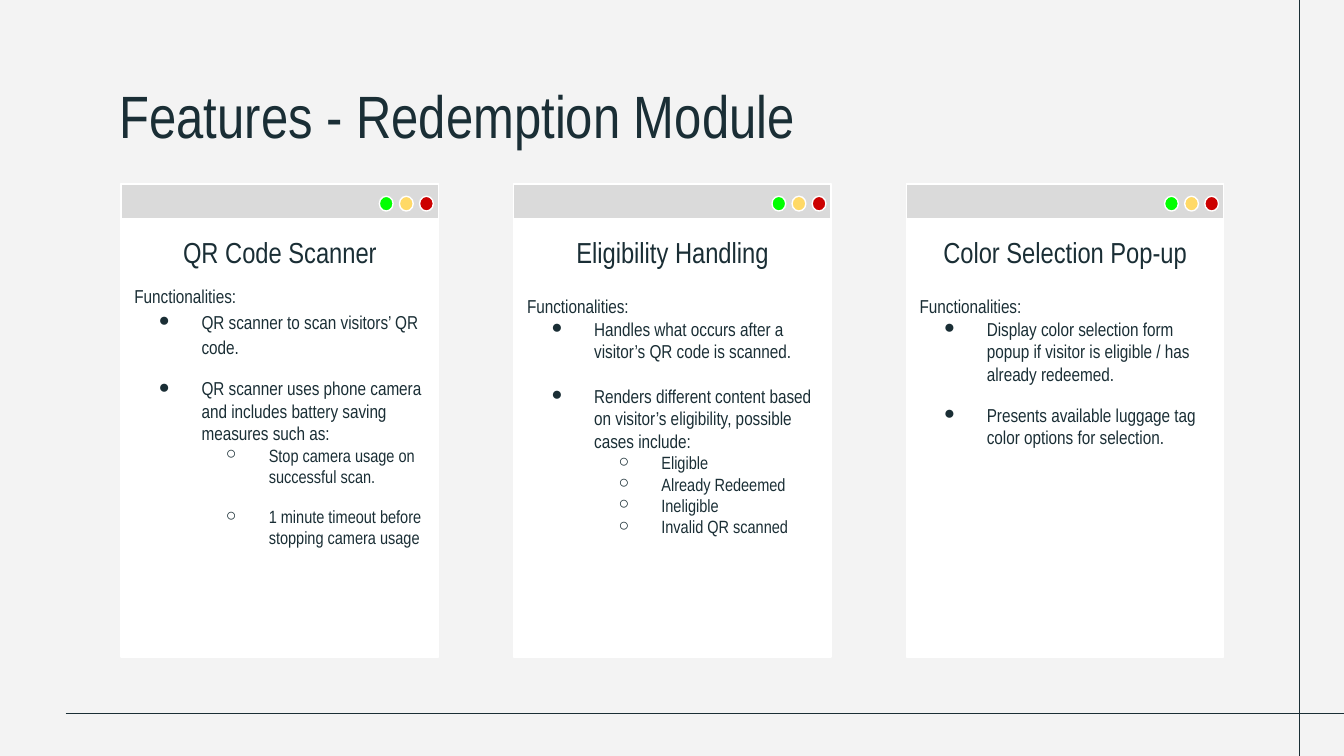
from dataclasses import dataclass

from lxml.etree import SubElement
from pptx import Presentation
from pptx.dml.color import RGBColor
from pptx.enum.shapes import MSO_CONNECTOR as Connector, MSO_SHAPE as Shape
from pptx.enum.text import MSO_ANCHOR as Anchor, MSO_AUTO_SIZE as AutoSize, PP_ALIGN as Align
from pptx.oxml.ns import qn
from pptx.util import Cm, Pt


@dataclass(frozen=True)
class Theme:
    font: str = "Arial Narrow"
    ink: str = "1A2E35"
    paper: str = "F3F3F3"
    card: str = "FFFFFF"
    bar: str = "DADADA"
    lights: tuple = ("00FF00", "FFD966", "CC0000")
    title: float = 32
    heading: float = 15.5
    body: float = 10
    detail: float = 9.5
    rule: float = 0.75


THEME = Theme()

# Card grid, in centimetres
CARD_LEFT, CARD_TOP, CARD_STEP = 2.29, 3.48, 7.42
CARD_WIDTH, CARD_HEIGHT, BAR_HEIGHT = 6, 8.94, 0.66
LIGHT_LEFT, LIGHT_DROP, LIGHT_STEP = 4.88, 0.23, 0.38

# Left margin in cm, bullet and type size of each list level
LEVELS = (
    (0, None, THEME.body),
    (1.27, "●", THEME.body),
    (2.54, "○", THEME.detail),
)
HANGING = 0.81

# Each item: level, text, space before in points, line spacing
CARDS = (
    ("QR Code Scanner", 5.13, (
        (0, "Functionalities:", 0, 1),
        (1, "QR scanner to scan visitors’ QR code.", 0, 1.15),
        (1, "QR scanner uses phone camera and includes battery saving measures such as:", 10, 1),
        (2, "Stop camera usage on successful scan.", 0, 1),
        (2, "1 minute timeout before stopping camera usage", 10, 1),
    )),
    ("Eligibility Handling", 5.33, (
        (0, "Functionalities:", 0, 1),
        (1, "Handles what occurs after a visitor’s QR code is scanned.", 0, 1),
        (1, "Renders different content based on visitor’s eligibility, possible cases include:", 12, 1),
        (2, "Eligible", 0, 1),
        (2, "Already Redeemed", 0, 1),
        (2, "Ineligible", 0, 1),
        (2, "Invalid QR scanned", 0, 1),
    )),
    ("Color Selection Pop-up", 5.33, (
        (0, "Functionalities:", 0, 1),
        (1, "Display color selection form popup if visitor is eligible / has already redeemed.", 0, 1),
        (1, "Presents available luggage tag color options for selection.", 10, 1),
    )),
)


def color(code):
    return RGBColor.from_string(code)


def apply(target, values):
    for name, value in values.items():
        setattr(target, name, value)


def place(holder, left, top, width, height):
    """Position a text holder and give its frame the common settings."""
    apply(holder, dict(left=Cm(left), top=Cm(top), width=Cm(width), height=Cm(height)))
    inset = Cm(0.25)
    apply(holder.text_frame, dict(
        word_wrap=True, auto_size=AutoSize.NONE, vertical_anchor=Anchor.TOP,
        margin_left=inset, margin_right=inset, margin_top=inset, margin_bottom=inset))


def write(paragraph, text, size, align=Align.LEFT, before=0, spacing=1):
    apply(paragraph, dict(alignment=align, space_before=Pt(before), line_spacing=spacing))
    run = paragraph.add_run()
    run.text = text
    apply(run.font, dict(name=THEME.font, size=Pt(size), bold=False))
    run.font.color.rgb = color(THEME.ink)


def set_bullet(paragraph, margin, mark):
    properties = paragraph._p.get_or_add_pPr()
    properties.set("marL", str(Cm(margin)))
    properties.set("indent", str(-Cm(HANGING) if mark else 0))
    if mark is None:
        SubElement(properties, qn("a:buNone"))
        return
    tint = SubElement(properties, qn("a:buClr"))
    SubElement(tint, qn("a:srgbClr"), val=THEME.ink)
    SubElement(properties, qn("a:buFont"), typeface=THEME.font)
    SubElement(properties, qn("a:buChar"), char=mark)


def fill_list(holder, items):
    frame = holder.text_frame
    for index, (level, text, before, spacing) in enumerate(items):
        paragraph = frame.add_paragraph() if index else frame.paragraphs[0]
        margin, mark, size = LEVELS[level]
        paragraph.level = max(level - 1, 0)
        write(paragraph, text, size, before=before, spacing=spacing)
        set_bullet(paragraph, margin, mark)


def add_rule(slide, x1, y1, x2, y2):
    rule = slide.shapes.add_connector(Connector.STRAIGHT, Cm(x1), Cm(y1), Cm(x2), Cm(y2))
    rule.line.color.rgb = color(THEME.ink)
    rule.line.width = Pt(THEME.rule)
    SubElement(rule.element.spPr, qn("a:effectLst"))


def add_part(group, kind, fill, left, top, width, height):
    part = group.shapes.add_shape(kind, Cm(left), Cm(top), Cm(width), Cm(height))
    part.shadow.inherit = False
    part.fill.solid()
    part.fill.fore_color.rgb = color(fill)
    part.line.color.rgb = color(THEME.card)
    part.line.width = Pt(THEME.rule)


def add_window(slide, left):
    """Draw a card styled as a window with three lights in its bar."""
    window = slide.shapes.add_group_shape()
    add_part(window, Shape.RECTANGLE, THEME.card, left, CARD_TOP, CARD_WIDTH, CARD_HEIGHT)
    add_part(window, Shape.RECTANGLE, THEME.bar, left, CARD_TOP, CARD_WIDTH, BAR_HEIGHT)
    for index, light in enumerate(THEME.lights):
        add_part(window, Shape.OVAL, light, left + LIGHT_LEFT + index * LIGHT_STEP,
                 CARD_TOP + LIGHT_DROP, 0.26, 0.28)


def main():
    deck = Presentation()
    apply(deck, dict(slide_width=Cm(25.4), slide_height=Cm(14.29)))
    # The comparison layout offers a title and four body placeholders
    slide = deck.slides.add_slide(deck.slide_layouts[4])
    slide.background.fill.solid()
    slide.background.fill.fore_color.rgb = color(THEME.paper)
    title, *bodies = list(slide.placeholders)[:5]

    # Frame rules
    add_rule(slide, 1.24, 13.49, 25.4, 13.49)
    add_rule(slide, 24.56, 0.79, 24.56, 14.29)
    add_rule(slide, 24.56, 13.49, 24.56, 0)

    # Slide title
    place(title, 2.01, 1.24, 21.41, 1.6)
    write(title.text_frame.paragraphs[0], "Features - Redemption Module", THEME.title)

    # Feature cards
    for index, (name, list_top, items) in enumerate(CARDS):
        left = CARD_LEFT + index * CARD_STEP
        add_window(slide, left)
        heading = slide.shapes.add_textbox(0, 0, 0, 0)
        place(heading, left, 4.19, CARD_WIDTH, 0.91)
        write(heading.text_frame.paragraphs[0], name, THEME.heading, Align.CENTER)
        features = bodies[index]
        place(features, left, list_top, CARD_WIDTH, 7)
        fill_list(features, items)
        slide.shapes.element.append(features.element)  # bring in front of its card

    # Drop unused placeholders
    for holder in list(slide.placeholders):
        if not holder.text_frame.text:
            slide.shapes.element.remove(holder.element)

    deck.save("out.pptx")


if __name__ == "__main__":
    main()
